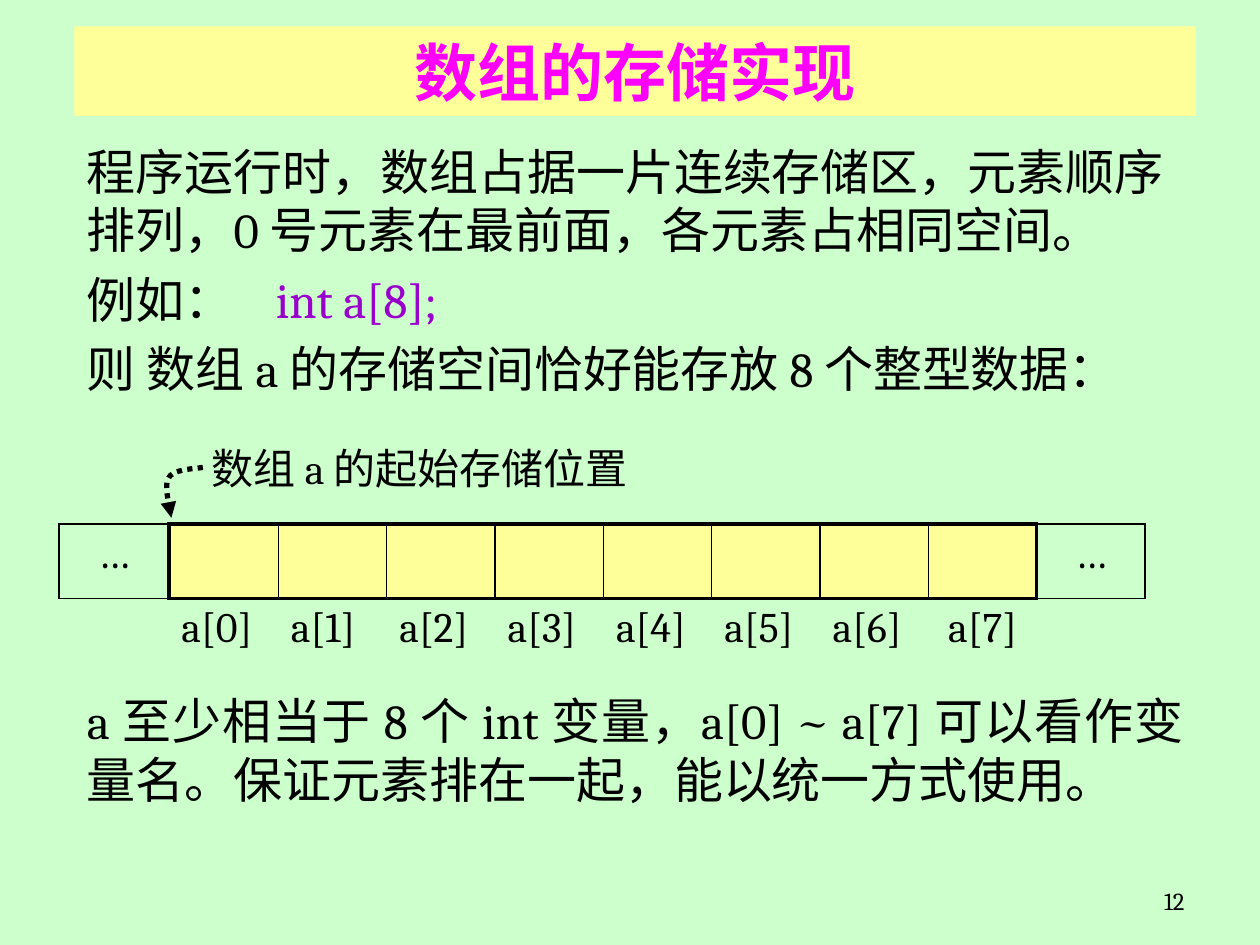
from pptx import Presentation
from pptx.dml.color import RGBColor
from pptx.enum.dml import MSO_LINE
from pptx.enum.text import MSO_ANCHOR, MSO_AUTO_SIZE, PP_ALIGN as Align
from pptx.oxml.ns import qn
from pptx.util import Inches, Pt
from lxml.etree import SubElement, Element

COLORS = {"ground": "CCFFCC", "panel": "FFFF99", "title": "FF00FF",
          "code": "9900CC", "ink": "000000"}
FONT = "Cambria"
THIN, THICK = 1, 2.25
TAB_STOP = 2

TITLE = "数组的存储实现"
# Each paragraph: alignment, then runs of (text, colour)
INTRO = [
    (Align.LEFT, [("程序运行时，数组占据一片连续存储区，元素顺序排列，0 号元素在最前面，各元素占相同空间。", "ink")]),
    (Align.LEFT, [("例如：\t", "ink"), ("int a[8];", "code")]),
    (Align.JUSTIFY, [("则 数组 a 的存储空间恰好能存放 8 个整型数据：", "ink")]),
]
SUMMARY = [
    (Align.JUSTIFY, [("a 至少相当于 8 个 int 变量，a[0] ~ a[7] 可以看作变量名。保证元素排在一起，能以统一方式使用。", "ink")]),
]
START_LABEL = [(Align.LEFT, [("数组 a 的起始存储位置", "ink")])]
PAGE_NUMBER = [(Align.RIGHT, [("12", "ink")])]
ELEMENTS = 8
COLUMNS = ELEMENTS + 2
LAST = COLUMNS - 1
COLUMN_WIDTHS = [0.87] * 2 + [0.86] * (COLUMNS - 2)
ROW_HEIGHTS = (0.59, 0.57)

# Two joined Bezier curves: start, then control, control, end for each
ARROW_START = (1.61, 3.71)
ARROW_CURVES = [((1.57, 3.72), (1.38, 3.72), (1.34, 3.79)),
                ((1.3, 3.85), (1.34, 3.99), (1.36, 4.11))]
CURVE_STEPS = 12


def rgb(name):
    return RGBColor.from_string(COLORS[name])


def place(shape, left, top, width, height):
    shape.left, shape.top = Inches(left), Inches(top)
    shape.width, shape.height = Inches(width), Inches(height)


def fill_text(frame, paragraphs, size, gap=0, bold=False):
    frame.word_wrap = True
    for index, (align, runs) in enumerate(paragraphs):
        para = frame.paragraphs[0] if index == 0 else frame.add_paragraph()
        properties = para._p.get_or_add_pPr()
        for name in ("marL", "indent", "hangingPunct"):
            properties.set(name, "0")
        SubElement(properties, qn("a:buNone"))
        if any("\t" in text for text, _ in runs):
            tabs = SubElement(properties, qn("a:tabLst"))
            SubElement(tabs, qn("a:tab"), pos=str(Inches(TAB_STOP)), algn="l")
        para.alignment = align
        para.space_before = Pt(gap if index else 0)
        for text, color in runs:
            span = para.add_run()
            span.text = text
            span.font.name, span.font.size = FONT, Pt(size)
            span.font.bold = bold
            span.font.color.rgb = rgb(color)


def set_borders(cell, widths):
    """Draw left, right, top and bottom borders; a width of 0 hides one."""
    properties = cell._tc.get_or_add_tcPr()
    for position, (side, width) in enumerate(zip("LRTB", widths)):
        line = Element(qn("a:ln" + side), w=str(Pt(width)))
        if width:
            color = SubElement(SubElement(line, qn("a:solidFill")), qn("a:srgbClr"))
            color.set("val", COLORS["ink"])
        else:
            SubElement(line, qn("a:noFill"))
        properties.insert(position, line)


def bezier(start, first, second, end):
    for step in range(1, CURVE_STEPS + 1):
        t = step / CURVE_STEPS
        weights = ((1 - t) ** 3, 3 * t * (1 - t) ** 2, 3 * t * t * (1 - t), t ** 3)
        points = (start, first, second, end)
        yield tuple(sum(w * p[axis] for w, p in zip(weights, points)) for axis in (0, 1))


def add_memory_table(page):
    frame = page.shapes.add_table(2, COLUMNS, Inches(0.47), Inches(4.16),
                                  Inches(sum(COLUMN_WIDTHS)), Inches(sum(ROW_HEIGHTS)))
    table = frame.table
    table.first_row = table.horz_banding = False
    for row, height in zip(table.rows, ROW_HEIGHTS):
        row.height = Inches(height)
    for column, width in enumerate(COLUMN_WIDTHS):
        table.columns[column].width = Inches(width)
        storage, label = table.cell(0, column), table.cell(1, column)
        outside = column in (0, LAST)
        edge = THIN if outside else THICK
        left = THICK if column in (1, LAST) else THIN
        right = THICK if column in (0, LAST - 1) else THIN
        storage.fill.background()
        label.fill.background()
        if outside:
            fill_text(storage.text_frame, [(Align.CENTER, [("…", "ink")])], 24)
        else:
            storage.fill.solid()
            storage.fill.fore_color.rgb = rgb("panel")
            align = Align.CENTER if column == ELEMENTS else Align.LEFT
            fill_text(label.text_frame, [(align, [(f"a[{column - 1}]", "ink")])], 24)
        set_borders(storage, (left, right, edge, edge))
        set_borders(label, (0, 0, edge, 0))


def add_start_arrow(page):
    points, start = [], ARROW_START
    for curve in ARROW_CURVES:
        points += bezier(start, *curve)
        start = curve[-1]
    # The builder rounds coordinates to whole units, so they are given in EMU.
    builder = page.shapes.build_freeform(*map(Inches, ARROW_START))
    builder.add_line_segments([(Inches(x), Inches(y)) for x, y in points], close=False)
    arrow = builder.convert_to_shape()
    arrow.shadow.inherit = False
    arrow.fill.background()
    arrow.line.color.rgb = rgb("ink")
    arrow.line.width = Pt(3)
    arrow.line.dash_style = MSO_LINE.ROUND_DOT
    SubElement(arrow.line._get_or_add_ln(), qn("a:tailEnd"), type="triangle")


def add_label(page, area, paragraphs, size, anchor):
    box = page.shapes.add_textbox(*map(Inches, area))
    fill_text(box.text_frame, paragraphs, size)
    box.text_frame.vertical_anchor = anchor


def main():
    deck = Presentation()
    deck.slide_width, deck.slide_height = Inches(10), Inches(7.5)
    page = deck.slides.add_slide(deck.slide_layouts.get_by_name("Two Content"))
    page.background.fill.solid()
    page.background.fill.fore_color.rgb = rgb("ground")

    title, intro, summary = page.placeholders
    place(title, 0.59, 0.21, 8.9, 0.71)
    title.fill.solid()
    title.fill.fore_color.rgb = rgb("panel")
    fill_text(title.text_frame, [(Align.CENTER, [(TITLE, "title")])], 36, bold=True)
    title.text_frame.vertical_anchor = MSO_ANCHOR.MIDDLE
    place(intro, 0.59, 1.07, 9.01, 5.91)
    fill_text(intro.text_frame, INTRO, 28, gap=6)
    place(summary, 0.59, 5.43, 8.9, 1.55)
    fill_text(summary.text_frame, SUMMARY, 28)
    for holder in (title, intro, summary):
        holder.text_frame.auto_size = MSO_AUTO_SIZE.NONE

    add_memory_table(page)
    add_start_arrow(page)
    add_label(page, (1.58, 3.46, 3.58, 0.5), START_LABEL, 24, MSO_ANCHOR.MIDDLE)
    add_label(page, (7.17, 6.98, 2.33, 0.37), PAGE_NUMBER, 14, MSO_ANCHOR.TOP)
    deck.save("out.pptx")


if __name__ == "__main__":
    main()
